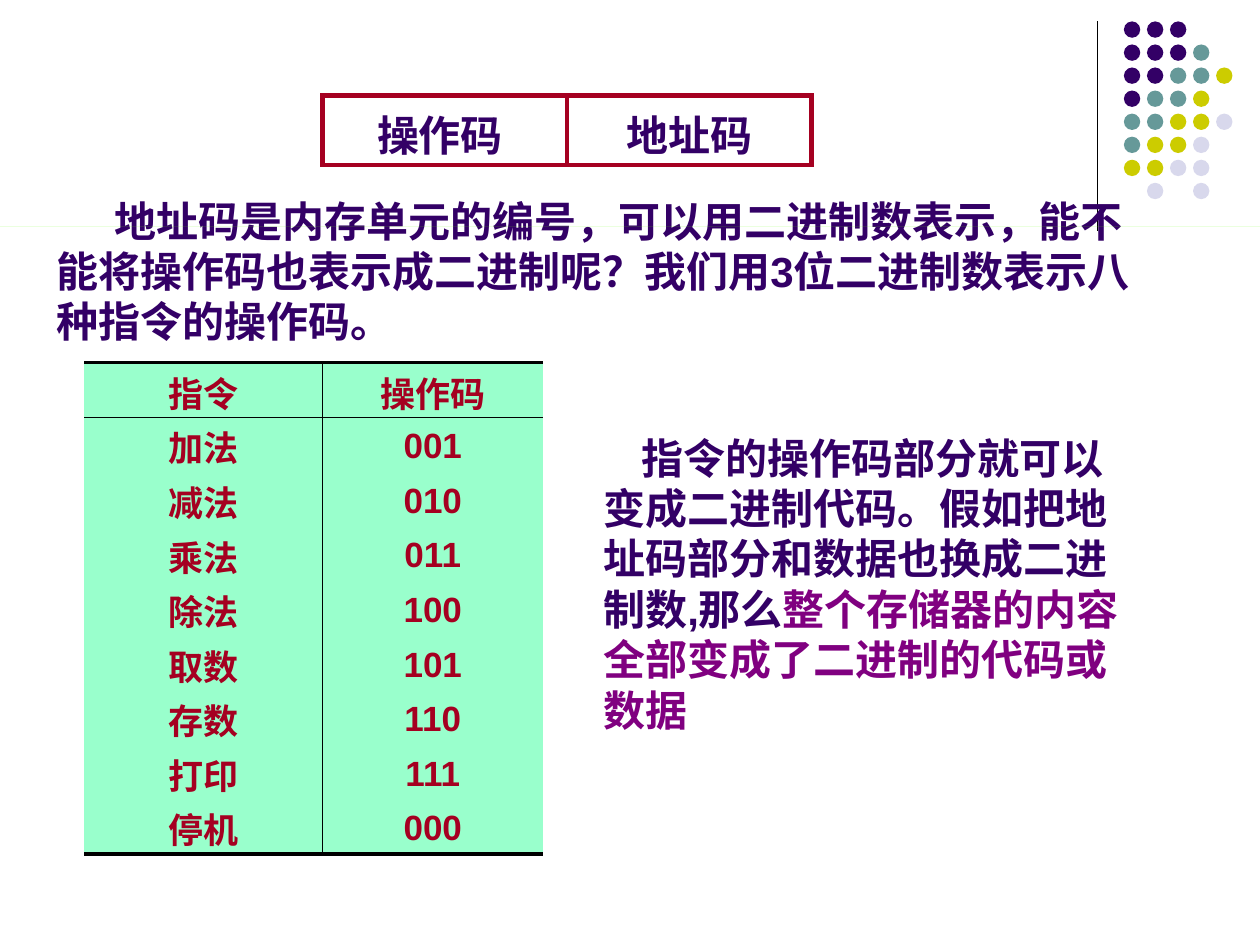
import pptx
import pptx.dml.color
import pptx.enum.shapes
import pptx.enum.text
import pptx.oxml.ns
import pptx.util
import lxml.etree

Inches = pptx.util.Inches
Pt = pptx.util.Pt
ANCHOR = pptx.enum.text.MSO_ANCHOR
CENTER = pptx.enum.text.PP_ALIGN.CENTER
INK, RED, PURPLE, MINT = "330066", "A50021", "800080", "99FFCC"
CJK_FONT = "Noto Sans CJK SC"

DOT_COLOURS = {"i": INK, "t": "669999", "y": "CCCC00", "p": "D8D8EC"}
DOT_ROWS = ["iii", "iiit", "iitty", "itty", "ttyyp", "tyyp", "yypp", " p p"]
OPCODES = [
    ("指令", "操作码"), ("加法", "001"), ("减法", "010"),
    ("乘法", "011"), ("除法", "100"), ("取数", "101"),
    ("存数", "110"), ("打印", "111"), ("停机", "000"),
]


def colour(value):
    return pptx.dml.color.RGBColor.from_string(value)


def apply_format(target, values):
    for name, value in values.items():
        setattr(target, name, value)


def add_child(parent, tag, **attributes):
    return lxml.etree.SubElement(parent, pptx.oxml.ns.qn(tag), attributes)


def add_span(para, text, size, ink, font="Arial"):
    span = para.add_run()
    span.text = text
    apply_format(span.font, {"size": Pt(size), "bold": True, "name": font})
    span.font.color.rgb = colour(ink)
    add_child(span._r.get_or_add_rPr(), "a:ea", typeface=CJK_FONT)


def set_borders(cell, widths, ink):
    properties = cell._tc.get_or_add_tcPr()
    for position, (side, width) in enumerate(zip("LRTB", widths)):
        border = lxml.etree.Element(pptx.oxml.ns.qn(f"a:ln{side}"), w=str(Pt(width)))
        if width:
            fill = add_child(border, "a:solidFill")
            add_child(fill, "a:srgbClr", val=ink)
        else:
            add_child(border, "a:noFill")
        properties.insert(position, border)


def add_grid(page, left, top, columns, row_height, rows):
    frame = page.shapes.add_table(
        rows, len(columns), Inches(left), Inches(top),
        Inches(sum(columns)), Inches(row_height * rows))
    table = frame.table
    apply_format(table, {"first_row": False, "horz_banding": False})
    for column, width in zip(table.columns, columns):
        column.width = Inches(width)
    for row in table.rows:
        row.height = Inches(row_height)
    return table


def fill_cell(cell, text, size, ink, font, top_margin):
    apply_format(cell, {"margin_top": Inches(top_margin), "margin_bottom": 0})
    para = cell.text_frame.paragraphs[0]
    para.alignment = CENTER
    add_span(para, text, size, ink, font)


def add_dots(page, left, top, pitch, diameter):
    for row, line in enumerate(DOT_ROWS):
        for column, key in enumerate(line):
            if key in DOT_COLOURS:
                dot = page.shapes.add_shape(
                    pptx.enum.shapes.MSO_SHAPE.OVAL,
                    Inches(left + column * pitch), Inches(top + row * pitch),
                    Inches(diameter), Inches(diameter))
                dot.shadow.inherit = False
                dot.fill.solid()
                dot.fill.fore_color.rgb = colour(DOT_COLOURS[key])
                dot.line.fill.background()


def add_corner_rule(page, left, top, height):
    rule = page.shapes.add_connector(
        pptx.enum.shapes.MSO_CONNECTOR.STRAIGHT,
        Inches(left), Inches(top), Inches(left), Inches(top + height))
    rule.line.color.rgb = colour("000000")
    rule.line.width = Pt(0.75)
    add_child(rule._element.spPr, "a:effectLst")


def add_divider(page, top, width):
    divider = page.shapes.add_shape(
        pptx.enum.shapes.MSO_SHAPE.RECTANGLE, 0, Inches(top), Inches(width), 0)
    divider.shadow.inherit = False
    divider.fill.solid()
    divider.fill.fore_color.rgb = colour("66FF00")
    divider.line.fill.background()


def add_instruction_format(page, left, top, width, height):
    table = add_grid(page, left, top, [width / 2] * 2, height, 1)
    for cell, text in zip(table.iter_cells(), ["操作码 ", "地址码"]):
        fill_cell(cell, text, 24, INK, CJK_FONT, 0.06)
        cell.fill.background()
        set_borders(cell, [3] * 4, RED)


def add_opcode_table(page, left, top, columns, row_height):
    table = add_grid(page, left, top, columns, row_height, len(OPCODES))
    last = len(OPCODES) - 1
    for row, texts in enumerate(OPCODES):
        for column, text in enumerate(texts):
            cell = table.cell(row, column)
            font = "Arial" if text.isdigit() else "Times New Roman"
            fill_cell(cell, text, 20, RED, font, 0.03)
            cell.vertical_anchor = ANCHOR.MIDDLE
            cell.fill.solid()
            cell.fill.fore_color.rgb = colour(MINT)
            upper = {0: 2, 1: 1}.get(row, 0)
            lower = {0: 1, last: 2}.get(row, 0)
            set_borders(cell, [column, 1 - column, upper, lower], "000000")


def add_passage(page, left, top, width, height, indent, anchor, parts):
    box = page.shapes.add_textbox(Inches(left), Inches(top), Inches(width), Inches(height))
    apply_format(box.text_frame, {"word_wrap": True, "vertical_anchor": anchor})
    para = box.text_frame.paragraphs[0]
    para.line_spacing = Pt(28.8)
    para._p.get_or_add_pPr().set("indent", str(Inches(indent)))
    for text, ink in parts:
        add_span(para, text, 24, ink)


def main():
    deck = pptx.Presentation()
    apply_format(deck, {"slide_width": Inches(10), "slide_height": Inches(7.5)})
    page = deck.slides.add_slide(deck.slide_layouts[6])
    add_corner_rule(page, 8.71, 0.17, 1.66)
    add_dots(page, 8.92, 0.17, 0.183, 0.13)
    add_instruction_format(page, 2.56, 0.76, 3.88, 0.55)
    add_passage(page, 0.35, 1.5, 8.98, 1.3, 0.46, ANCHOR.TOP, [
        ("地址码是内存单元的编号，可以用二进制数表示，能不能将操作码也表示成二进制呢？"
         "我们用3位二进制数表示八种指令的操作码。", INK)])
    add_divider(page, 1.8, 10)
    add_opcode_table(page, 0.67, 2.88, [1.89, 1.75], 3.9 / len(OPCODES))
    add_passage(page, 4.69, 3.38, 4.33, 2.5, 0.3, ANCHOR.MIDDLE, [
        ("指令的操作码部分就可以变成二进制代码。假如把地址码部分和数据也换成二进制数,那么", INK),
        ("整个存储器的内容全部变成了二进制的代码或数据", PURPLE)])
    deck.save("out.pptx")


if __name__ == "__main__":
    main()
